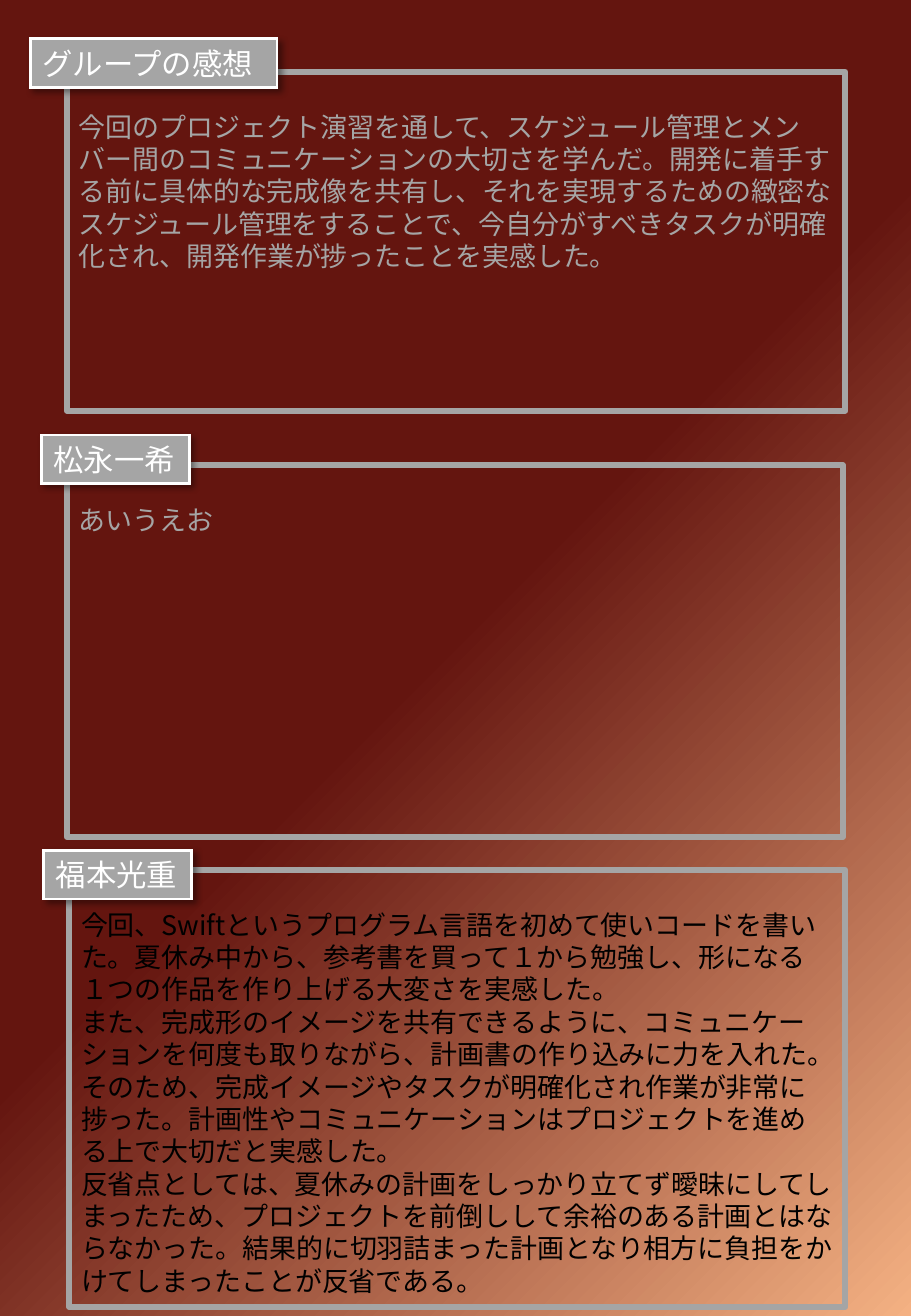
from copy import deepcopy
from dataclasses import dataclass

from lxml import etree
from pptx import Presentation
from pptx import util as u
from pptx.dml import color
from pptx.enum import lang, shapes, text
from pptx.oxml import ns


@dataclass(frozen=True)
class Theme:
    font: str = "Noto Sans CJK JP"
    grey: str = "A5A5A5"
    white: str = "FFFFFF"
    black: str = "000000"
    stops: tuple = ((0.27, "64150F"), (0.49, "64150F"), (1.0, "F4B183"))
    body_size: float = 16
    label_size: float = 18
    leading: float = 1.2
    panel_line: float = 3.5
    label_line: float = 1.5


@dataclass(frozen=True)
class Box:
    left: float
    top: float
    width: float
    height: float


@dataclass(frozen=True)
class Section:
    title: str
    label: Box
    panel: Box
    ink: str
    paragraphs: tuple


THEME = Theme()
INSET = 3.6
LABEL_HEIGHT = 28.8

SECTIONS = (
    Section(
        "グループの感想",
        Box(18, 23, 146.2, LABEL_HEIGHT),
        Box(39.6, 42.5, 461.5, 200.9),
        THEME.grey,
        (
            "今回のプロジェクト演習を通して、スケジュール管理とメンバー間のコミュニケーションの"
            "大切さを学んだ。開発に着手する前に具体的な完成像を共有し、それを実現するための緻密な"
            "スケジュール管理をすることで、今自分がすべきタスクが明確化され、開発作業が捗ったことを"
            "実感した。",
        ),
    ),
    Section(
        "松永一希",
        Box(24.5, 257.8, 87.8, LABEL_HEIGHT),
        Box(39.6, 275.8, 460.1, 220.3),
        THEME.grey,
        ("あいうえお",),
    ),
    Section(
        "福本光重",
        Box(25.9, 504, 87.8, LABEL_HEIGHT),
        Box(41, 515.5, 460.1, 259.2),
        THEME.black,
        (
            "今回、Swiftというプログラム言語を初めて使いコードを書いた。夏休み中から、参考書を"
            "買って１から勉強し、形になる１つの作品を作り上げる大変さを実感した。",
            "また、完成形のイメージを共有できるように、コミュニケーションを何度も取りながら、"
            "計画書の作り込みに力を入れた。そのため、完成イメージやタスクが明確化され作業が非常に"
            "捗った。計画性やコミュニケーションはプロジェクトを進める上で大切だと実感した。",
            "反省点としては、夏休みの計画をしっかり立てず曖昧にしてしまったため、プロジェクトを"
            "前倒しして余裕のある計画とはならなかった。結果的に切羽詰まった計画となり相方に負担を"
            "かけてしまったことが反省である。",
        ),
    ),
)


def rgb(value: str) -> color.RGBColor:
    return color.RGBColor.from_string(value)


def apply(target, values: dict) -> None:
    for name, value in values.items():
        setattr(target, name, value)


def paint_background(s) -> None:
    fill = s.background.fill
    fill.gradient()
    fill.gradient_angle = 315
    stop_list = s.element.find(".//" + ns.qn("a:gsLst"))
    stop_list.append(deepcopy(stop_list[0]))
    for stop, (position, value) in zip(fill.gradient_stops, THEME.stops):
        stop.position = position
        stop.color.rgb = rgb(value)


def add_box(s, box: Box, line: str, weight: float):
    sp = s.shapes.add_shape(
        shapes.MSO_SHAPE.RECTANGLE,
        u.Pt(box.left), u.Pt(box.top), u.Pt(box.width), u.Pt(box.height),
    )
    sp.shadow.inherit = False
    sp.fill.background()
    sp.line.color.rgb = rgb(line)
    sp.line.width = u.Pt(weight)
    return sp


def write(sp, paragraphs: tuple, size: float, ink: str, top: float) -> None:
    tf = sp.text_frame
    apply(tf, {
        "word_wrap": True,
        "auto_size": text.MSO_AUTO_SIZE.NONE,
        "vertical_anchor": text.MSO_ANCHOR.TOP,
        "margin_top": u.Pt(top),
        "margin_bottom": u.Pt(INSET),
        "margin_left": u.Pt(2 * INSET),
        "margin_right": u.Pt(2 * INSET),
    })
    for i, words in enumerate(paragraphs):
        p = tf.add_paragraph() if i else tf.paragraphs[0]
        apply(p, {
            "alignment": text.PP_ALIGN.LEFT,
            "line_spacing": u.Pt(size * THEME.leading),
        })
        r = p.add_run()
        r.text = words
        apply(r.font, {
            "size": u.Pt(size),
            "name": THEME.font,
            "language_id": lang.MSO_LANGUAGE_ID.JAPANESE,
        })
        r.font.color.rgb = rgb(ink)
        east_asian = etree.SubElement(r.font._element, ns.qn("a:ea"))
        east_asian.set("typeface", THEME.font)


def add_panel(s, section: Section) -> None:
    sp = add_box(s, section.panel, THEME.grey, THEME.panel_line)
    top = INSET + THEME.body_size * THEME.leading
    write(sp, section.paragraphs, THEME.body_size, section.ink, top)


def add_label(s, section: Section) -> None:
    sp = add_box(s, section.label, THEME.white, THEME.label_line)
    sp.fill.solid()
    sp.fill.fore_color.rgb = rgb(THEME.grey)
    properties = sp.element.spPr
    miter = etree.SubElement(properties.find(ns.qn("a:ln")), ns.qn("a:miter"))
    miter.set("lim", "800000")
    shadow = etree.SubElement(
        properties.find(ns.qn("a:effectLst")), ns.qn("a:outerShdw"),
        blurRad=str(u.Pt(4)), dist=str(u.Pt(3)), dir="2700000",
        algn="tl", rotWithShape="0",
    )
    tint = etree.SubElement(shadow, ns.qn("a:srgbClr"), val=THEME.black)
    etree.SubElement(tint, ns.qn("a:alpha"), val="40000")
    write(sp, (section.title,), THEME.label_size, THEME.white, INSET)


def main() -> None:
    prs = Presentation()
    prs.slide_width, prs.slide_height = u.Pt(540), u.Pt(780)
    s = prs.slides.add_slide(prs.slide_layouts[6])
    paint_background(s)
    for section in SECTIONS:
        add_panel(s, section)
        add_label(s, section)
    prs.save("out.pptx")


if __name__ == "__main__":
    main()
